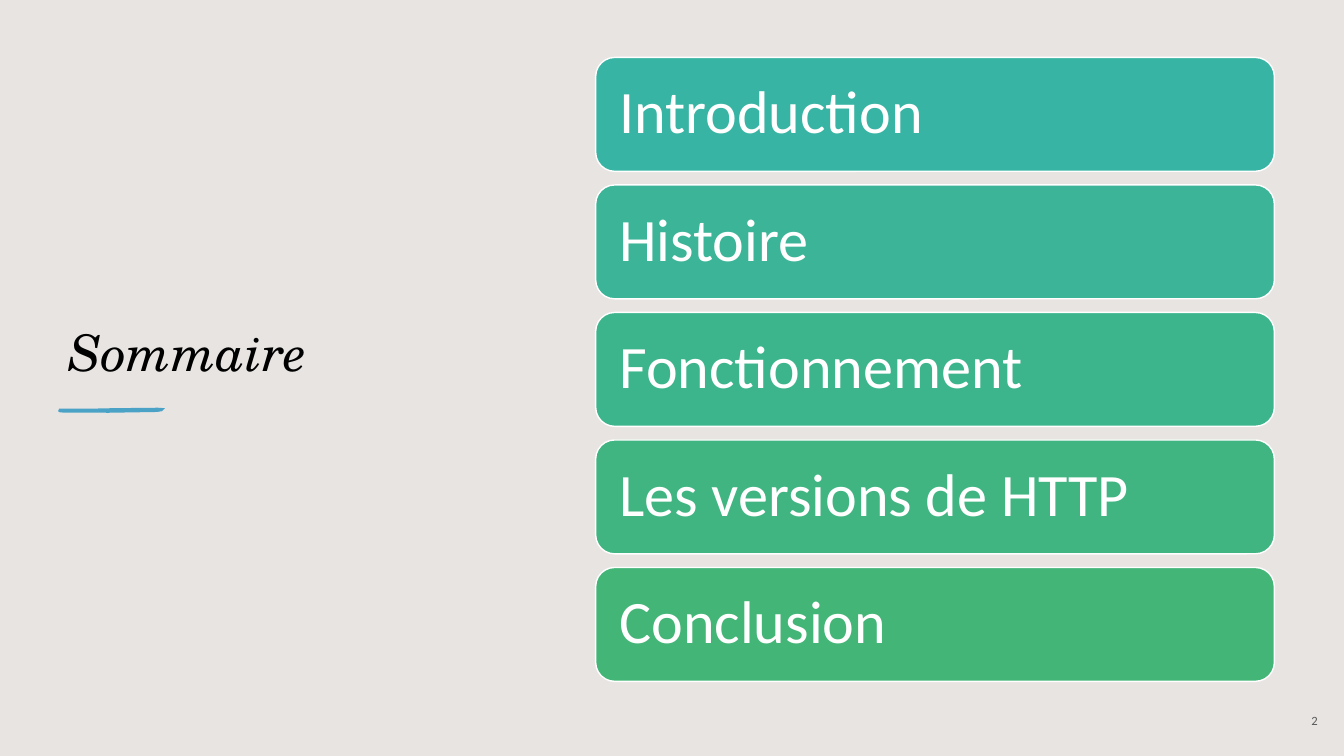
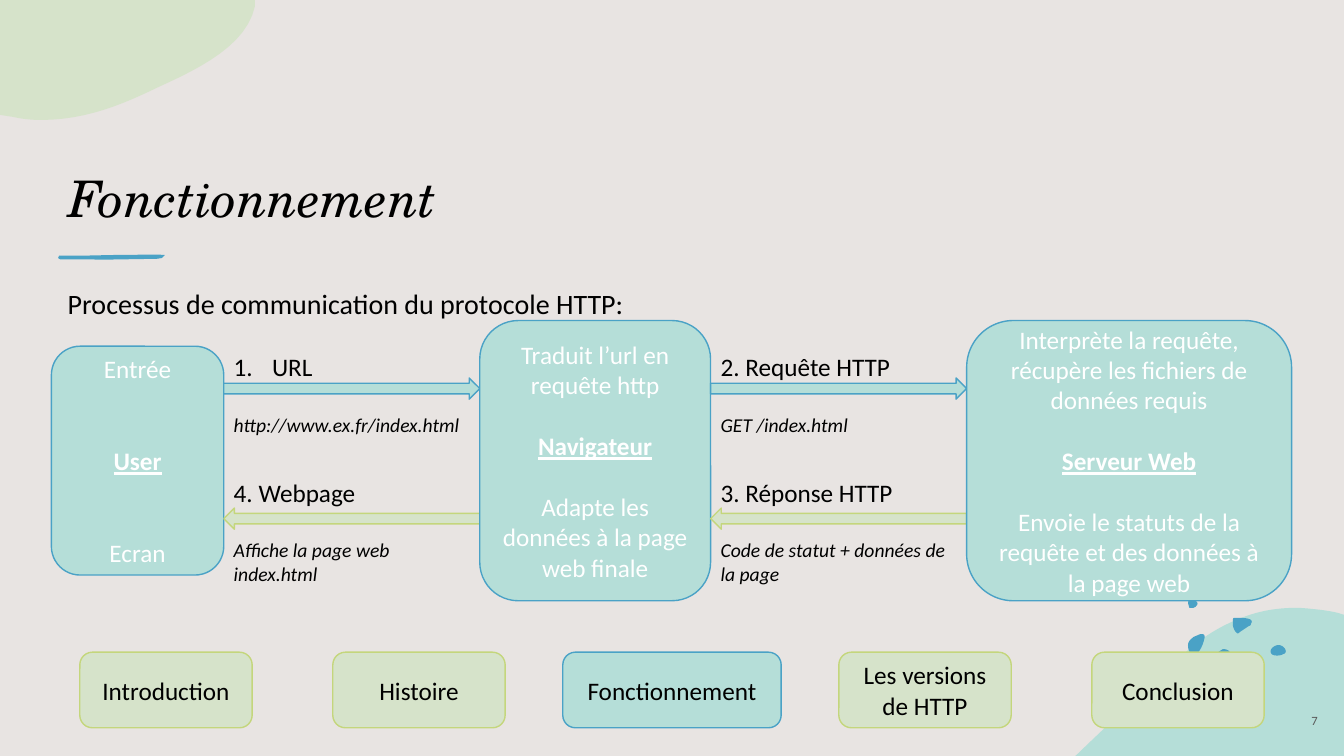
"""Build the summary and HTTP process slides of a deck about HTTP."""
from dataclasses import dataclass, replace

from pptx import Presentation
from pptx.dml.color import RGBColor
from pptx.enum.shapes import MSO_SHAPE
from pptx.enum.text import MSO_ANCHOR, PP_ALIGN
from pptx.oxml.ns import qn
from pptx.util import Inches, Pt
from lxml import etree

ROUND = MSO_SHAPE.ROUNDED_RECTANGLE
ARROW_RIGHT, ARROW_LEFT = MSO_SHAPE.RIGHT_ARROW, MSO_SHAPE.LEFT_ARROW
LEFT, CENTER = PP_ALIGN.LEFT, PP_ALIGN.CENTER
TOP, MIDDLE, BOTTOM = MSO_ANCHOR.TOP, MSO_ANCHOR.MIDDLE, MSO_ANCHOR.BOTTOM
WIDTH, HEIGHT = Inches(13.333), Inches(7.5)
COLUMNS, ROWS = 40, 30


@dataclass(frozen=True)
class Style:
    size: float
    color: str
    font: str = "Calibri"
    bold: bool = False
    italic: bool = False
    underline: bool = False
    spacing: int = 0


@dataclass(frozen=True)
class Theme:
    paper: str = "E8E4E2"
    blue: str = "4AA2C6"
    teal: str = "B5DED8"
    green: str = "D6E3CA"
    lime: str = "C4D67C"
    white: str = "FFFFFF"
    topics: tuple = ("38B4A4", "3BB498", "3DB58C", "40B581", "43B577")
    title: Style = Style(36, "000000", "TeX Gyre Schola", italic=True)
    topic: Style = Style(43, "FFFFFF")
    lead: Style = Style(20, "000000")
    label: Style = Style(18, "000000")
    detail: Style = Style(14, "000000", italic=True)
    node: Style = Style(18, "FFFFFF")
    number: Style = Style(9, "595959", spacing=110)


THEME = Theme()
NODE_NAME = replace(THEME.node, bold=True, underline=True)
BLANK_LINE = 22

TOPICS = ("Introduction", "Histoire", "Fonctionnement",
          "Les versions de HTTP", "Conclusion")

LEAF = ((0, 0), (7.59, 0), (7.59, 0.24), (7.35, 1.76, 6, 2.68, 4.74, 3.44),
        (3.69, 4.12, 2.58, 4.76, 1.23, 4.76),
        (0.93, 4.76, 0.66, 4.72, 0.39, 4.64), (0, 4.56))
WAVE = ((38.64, 24.12), (39.03, 24.16, 39.42, 24.2, 39.81, 24.32),
        (40, 24.4), (40, 30), (32, 30), (32.04, 29.96),
        (33.06, 28.64, 34.11, 27.36, 35.07, 26.16),
        (35.73, 25.28, 36.42, 24.76, 37.11, 24.44),
        (37.62, 24.2, 38.13, 24.12, 38.64, 24.12))
DROPS = (
    ((36.39, 25.76), (36.45, 25.76, 36.48, 25.76, 36.54, 25.8),
     (36.6, 25.84, 36.63, 25.92, 36.6, 26),
     (36.54, 26.12, 36.36, 26.32, 36.24, 26.28),
     (36.21, 26.24, 36.18, 26.16, 36.18, 26.08),
     (36.18, 26, 36.24, 25.88, 36.3, 25.84)),
    ((35.73, 25.16), (35.79, 25.16, 35.85, 25.16, 35.85, 25.24),
     (35.85, 25.32), (35.82, 25.52, 35.76, 25.72, 35.67, 25.88),
     (35.61, 25.96, 35.52, 26.08, 35.46, 25.96),
     (35.37, 25.84, 35.34, 25.64, 35.37, 25.52),
     (35.4, 25.4, 35.46, 25.36, 35.52, 25.28)),
    ((38.07, 25.6), (38.13, 25.6, 38.22, 25.68, 38.25, 25.76),
     (38.28, 25.84, 38.28, 25.92, 38.19, 25.96),
     (38.1, 26.04, 37.86, 26.04, 37.83, 25.92),
     (37.8, 25.84, 37.83, 25.76, 37.86, 25.72),
     (37.92, 25.64, 37.98, 25.6, 38.07, 25.6)),
    ((35.37, 24), (35.37, 24, 35.34, 23.84, 35.4, 23.8),
     (35.46, 23.8, 35.49, 23.8, 35.55, 23.84),
     (35.58, 23.84, 35.64, 23.88, 35.64, 23.96),
     (35.64, 24, 35.61, 24.04, 35.58, 24.08),
     (35.52, 24.12), (35.4, 24.12)),
    ((36.84, 24.52), (37.02, 24.52, 37.35, 24.52, 37.23, 24.76),
     (37.23, 24.8, 37.2, 24.84, 37.17, 24.84),
     (37.08, 24.92, 36.99, 25, 36.9, 25.08),
     (36.87, 25.12, 36.84, 25.16, 36.81, 25.12),
     (36.78, 25.08), (36.69, 24.92, 36.69, 24.8, 36.69, 24.64),
     (36.69, 24.6, 36.69, 24.56, 36.72, 24.52)),
)
STROKE = ((0.03, 0.04), (0.9, 0.04), (1.6, 0.02), (2.97, 0), (3.18, 0.02),
          (3.09, 0.14), (2.94, 0.17), (1.5, 0.2), (0.06, 0.19), (0, 0.14))


def rgb(color):
    """Turn a hex string into a colour."""
    return RGBColor.from_string(color)


def col(n):
    """Return the length of n grid columns."""
    return round(n * WIDTH / COLUMNS)


def row(n):
    """Return the length of n grid rows."""
    return round(n * HEIGHT / ROWS)


def area(x, y, w, h):
    """Turn a grid area into left, top, width and height."""
    return col(x), row(y), col(w), row(h)


def paint(sp, fill, line=None):
    """Set fill and outline of a shape and drop its shadow."""
    sp.shadow.inherit = False
    sp.fill.solid()
    sp.fill.fore_color.rgb = rgb(fill)
    if line:
        sp.line.color.rgb = rgb(line)
        sp.line.width = Pt(1)
    else:
        sp.line.fill.background()


def write(sp, lines, align=LEFT, anchor=TOP, gap=0):
    """Write (text, style) lines into a shape, gap points apart."""
    tf = sp.text_frame
    tf.word_wrap = True
    tf.vertical_anchor = anchor
    for i, (text, style) in enumerate(lines):
        p = tf.add_paragraph() if i else tf.paragraphs[0]
        p.text = text
        p.alignment = align
        if i:
            p.space_before = Pt(gap)
        r = p.runs[0]
        font = r.font
        font.name, font.size = style.font, Pt(style.size)
        font.bold, font.italic = style.bold, style.italic
        font.underline = style.underline
        font.color.rgb = rgb(style.color)
        if style.spacing:
            r._r.get_or_add_rPr().set("spc", str(style.spacing))
    return tf


def add_text(slide, place, lines, **layout):
    """Add a text box on a grid area."""
    return write(slide.shapes.add_textbox(*area(*place)), lines, **layout)


def add_block(slide, kind, place, fill, line):
    """Add an outlined preset shape on a grid area."""
    sp = slide.shapes.add_shape(kind, *area(*place))
    paint(sp, fill, line)
    return sp


def flatten(outline, steps=12):
    """Turn line and Bezier segments into a list of points."""
    points = [outline[0]]
    for seg in outline[1:]:
        if len(seg) == 2:
            points.append(seg)
            continue
        ctrl = (points[-1], seg[:2], seg[2:4], seg[4:])
        for k in range(1, steps + 1):
            t = k / steps
            weights = ((1 - t) ** 3, 3 * t * (1 - t) ** 2,
                       3 * t * t * (1 - t), t ** 3)
            points.append(tuple(sum(w * c[axis] for w, c in zip(weights, ctrl))
                                for axis in (0, 1)))
    return points


def add_outline(slide, outline, fill, x=0, y=0):
    """Add a filled freeform shifted by x columns and y rows."""
    points = [(col(x + a), row(y + b)) for a, b in flatten(outline)]
    builder = slide.shapes.build_freeform(*points[0], scale=1.0)
    builder.add_line_segments(points[1:], close=True)
    paint(builder.convert_to_shape(), fill)


def add_title(slide, text, bottom, width):
    """Add the title above its brush stroke."""
    x, height = 1.73, 5.8
    add_text(slide, (x, bottom - height, width, height),
             [(text, THEME.title)], anchor=BOTTOM)
    add_outline(slide, STROKE, THEME.blue, x, bottom + 0.86)


def add_number(slide, number):
    """Add the slide number in the bottom corner."""
    add_text(slide, (38.25, 27.8, 1.75, 1.6), [(number, THEME.number)],
             align=CENTER, anchor=MIDDLE)


def add_decor(slide):
    """Add the corner blobs and the drops."""
    add_outline(slide, WAVE, THEME.teal)
    for drop in DROPS:
        add_outline(slide, drop, THEME.blue)
    add_outline(slide, LEAF, THEME.green)


def add_topics(slide):
    """Stack one bar for each topic."""
    for i, (text, fill) in enumerate(zip(TOPICS, THEME.topics)):
        sp = add_block(slide, ROUND, (17.73, 2.28 + 5.06 * i, 20.2, 4.52),
                       fill, THEME.white)
        tf = write(sp, [(text, THEME.topic)], anchor=MIDDLE)
        tf.margin_left = tf.margin_right = Inches(0.18)
        tf.paragraphs[0].line_spacing = 0.9


def add_navigation(slide, active):
    """Add the row of topic buttons with the active one marked."""
    for i, text in enumerate(TOPICS):
        on = text == active
        w = 6.5 if on else 5.13
        center = COLUMNS / 2 + 7.53 * (i - 2)
        sp = add_block(slide, ROUND, (center - w / 2, 25.88, w, 3),
                       THEME.teal if on else THEME.green,
                       THEME.blue if on else THEME.lime)
        write(sp, [(text, THEME.label)], align=CENTER, anchor=MIDDLE)


def add_node(slide, x, w, h, gap, texts):
    """Add a participant with its name between its two tasks."""
    sp = add_block(slide, ROUND, (x, 18.28 - h / 2, w, h),
                   THEME.teal, THEME.blue)
    styles = (THEME.node, NODE_NAME, THEME.node)
    write(sp, zip(texts, styles), align=CENTER, anchor=MIDDLE, gap=gap)


def add_exchange(slide, x, w, request, response):
    """Add the request and response arrows with their labels."""
    rows = ((request, 13.76, ARROW_RIGHT, 15, THEME.teal, THEME.blue),
            (response, 18.74, ARROW_LEFT, 20.16, THEME.green, THEME.lime))
    frames = []
    for texts, label_y, kind, y, fill, line in rows:
        add_block(slide, kind, (x, y, w, 0.84), fill, line)
        frames.append(add_text(slide, (x, label_y, w, 4.7),
                               zip(texts, (THEME.label, THEME.detail)),
                               gap=BLANK_LINE))
    return frames


def number_paragraph(p):
    """Give a paragraph an automatic number with a hanging indent."""
    pPr = p._p.get_or_add_pPr()
    indent = Inches(0.38)
    pPr.set("marL", str(indent))
    pPr.set("indent", str(-indent))
    etree.SubElement(pPr, qn("a:buAutoNum"), type="arabicPeriod")


def add_process(slide):
    """Lay out participants and the exchanges between them."""
    gap = 7.62
    nodes = (
        (5.13, 9.08, 2 * BLANK_LINE, ("Entrée", "User", "Ecran")),
        (6.87, 11.12, BLANK_LINE,
         ("Traduit l’url en requête http", "Navigateur",
          "Adapte les données à la page web finale")),
        (9.67, 11.12, BLANK_LINE,
         ("Interprète la requête, récupère les fichiers de données requis",
          "Serveur Web",
          "Envoie le statuts de la requête et des données à la page web")))
    exchanges = (
        (("URL", "http://www.ex.fr/index.html"),
         ("4. Webpage", "Affiche la page web index.html")),
        (("2. Requête HTTP", "GET /index.html"),
         ("3. Réponse HTTP", "Code de statut + données de la page")))
    x, frames = 1.53, []
    for i, (w, h, space, texts) in enumerate(nodes):
        add_node(slide, x, w, h, space, texts)
        x += w
        if i < len(exchanges):
            frames += add_exchange(slide, x, gap, *exchanges[i])
        x += gap
    number_paragraph(frames[0].paragraphs[0])


def main():
    """Build and save the deck."""
    prs = Presentation()
    prs.slide_width, prs.slide_height = WIDTH, HEIGHT
    fill = prs.slide_master.background.fill
    fill.solid()
    fill.fore_color.rgb = rgb(THEME.paper)
    summary, process = (prs.slides.add_slide(prs.slide_layouts[6])
                        for _ in range(2))

    add_title(summary, "Sommaire", 15.32, 14)
    add_topics(summary)
    add_number(summary, "2")

    add_decor(process)
    add_title(process, "Fonctionnement", 9.24, 33)
    tf = add_text(process, (1.72, 11.04, 33, 2.4),
                  [("Processus de communication du protocole HTTP:", THEME.lead)])
    tf.paragraphs[0].line_spacing = 1.1
    tf.paragraphs[0].space_before = Pt(10)
    add_process(process)
    add_navigation(process, "Fonctionnement")
    add_number(process, "7")
    prs.save("out.pptx")


if __name__ == "__main__":
    main()
